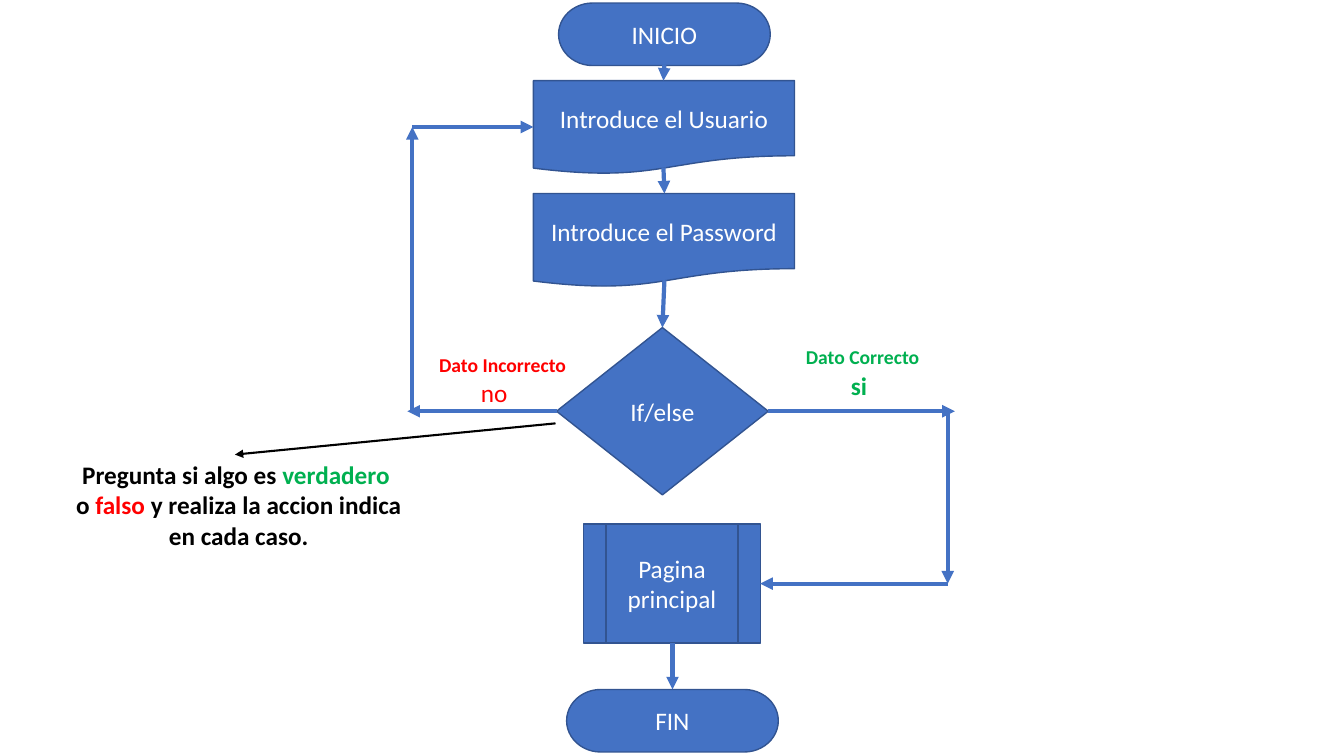
from dataclasses import dataclass

from lxml.etree import SubElement
from pptx import Presentation
from pptx.dml.color import RGBColor
from pptx.enum.shapes import MSO_CONNECTOR, MSO_SHAPE
from pptx.enum.text import MSO_ANCHOR, MSO_AUTO_SIZE, PP_ALIGN
from pptx.oxml.ns import qn
from pptx.slide import Slide
from pptx.text.text import TextFrame
from pptx.util import Inches, Pt

BLUE, NAVY, WHITE, BLACK = "4472C4", "325491", "FFFFFF", "000000"
GREEN, RED = "00B050", "FF0000"
STEP_FRAME = {"word_wrap": True, "vertical_anchor": MSO_ANCHOR.MIDDLE}
LABEL_FRAME = {"vertical_anchor": MSO_ANCHOR.TOP, "auto_size": MSO_AUTO_SIZE.SHAPE_TO_FIT_TEXT}


@dataclass(frozen=True)
class Span:
    text: str
    color: str = WHITE
    size: int = 18
    bold: bool = False


@dataclass(frozen=True)
class Step:
    kind: MSO_SHAPE
    text: str
    left: float
    top: float
    width: float
    height: float


@dataclass(frozen=True)
class Label:
    left: float
    top: float
    width: float
    height: float
    lines: list[list[Span]]
    wrap: bool = True


@dataclass(frozen=True)
class Arrow:
    start: tuple[float, float]
    end: tuple[float, float]
    color: str = BLUE
    width: float = 3


STEPS = [
    Step(MSO_SHAPE.FLOWCHART_TERMINATOR, "INICIO", 5.54, 0.03, 2.1, 0.62),
    Step(MSO_SHAPE.FLOWCHART_DOCUMENT, "Introduce el Usuario", 5.29, 0.8, 2.59, 0.93),
    Step(MSO_SHAPE.FLOWCHART_DOCUMENT, "Introduce el Password", 5.29, 1.92, 2.59, 0.93),
    Step(MSO_SHAPE.FLOWCHART_DECISION, "If/else", 5.52, 3.25, 2.1, 1.66),
    Step(MSO_SHAPE.FLOWCHART_PREDEFINED_PROCESS, "Pagina principal", 5.79, 5.2, 1.75, 1.18),
    Step(MSO_SHAPE.FLOWCHART_TERMINATOR, "FIN", 5.62, 6.84, 2.1, 0.62),
]

ARROWS = [
    Arrow((6.59, 0.64), (6.58, 0.8)),
    Arrow((6.58, 1.66), (6.59, 1.92)),
    Arrow((6.59, 2.78), (6.57, 3.25)),
    Arrow((7.62, 4.08), (9.47, 4.08)),
    Arrow((9.4, 4.08), (9.4, 5.79)),
    Arrow((9.4, 5.79), (7.54, 5.79)),
    Arrow((6.67, 6.38), (6.67, 6.84)),
    Arrow((5.52, 4.08), (4.04, 4.08)),
    Arrow((4.09, 4.07), (4.09, 1.26)),
    Arrow((4.09, 1.26), (5.29, 1.26)),
    Arrow((5.51, 4.2), (2.33, 4.51), BLACK, 1.5),
]

LABELS = [
    Label(8.28, 3.62, 0.48, 0.4, [[Span("si", GREEN, bold=True)]]),
    Label(4.59, 3.69, 0.62, 0.4, [[Span("no", RED)]]),
    Label(7.85, 3.37, 1.41, 0.34, [[Span("Dato Correcto", GREEN, 14, True)]]),
    Label(4.18, 3.45, 1.61, 0.34, [[Span("Dato Incorrecto", RED, 14, True)]]),
    Label(0.58, 4.51, 3.52, 1.01, [
        [Span("Pregunta si algo es ", BLACK, bold=True), Span("verdadero", GREEN, bold=True)],
        [Span(" o ", BLACK, bold=True), Span("falso", RED, bold=True),
         Span(" y realiza la accion indica", BLACK, bold=True)],
        [Span(" en cada caso.", BLACK, bold=True)],
    ], wrap=False),
]


def rgb(code: str) -> RGBColor:
    return RGBColor.from_string(code)


def apply(target: object, values: dict[str, object]) -> None:
    for name, value in values.items():
        setattr(target, name, value)


def write(frame: TextFrame, lines: list[list[Span]], values: dict[str, object]) -> None:
    apply(frame, values)
    for index, spans in enumerate(lines):
        paragraph = frame.add_paragraph() if index else frame.paragraphs[0]
        paragraph.alignment = PP_ALIGN.CENTER
        for span in spans:
            run = paragraph.add_run()
            run.text = span.text
            apply(run.font, {"name": "Calibri", "size": Pt(span.size), "bold": span.bold})
            run.font.color.rgb = rgb(span.color)


def draw_step(slide: Slide, step: Step) -> None:
    box = slide.shapes.add_shape(step.kind, Inches(step.left), Inches(step.top),
                                 Inches(step.width), Inches(step.height))
    box.shadow.inherit = False
    box.fill.solid()
    box.fill.fore_color.rgb = rgb(BLUE)
    box.line.color.rgb = rgb(NAVY)
    box.line.width = Pt(1)
    write(box.text_frame, [[Span(step.text)]], STEP_FRAME)


def draw_arrow(slide: Slide, arrow: Arrow) -> None:
    ends = [Inches(value) for value in (*arrow.start, *arrow.end)]
    connector = slide.shapes.add_connector(MSO_CONNECTOR.STRAIGHT, *ends)
    connector.line.color.rgb = rgb(arrow.color)
    connector.line.width = Pt(arrow.width)
    SubElement(connector.line._get_or_add_ln(), qn("a:tailEnd"), type="triangle")
    SubElement(connector._element.spPr, qn("a:effectLst"))


def draw_label(slide: Slide, label: Label) -> None:
    box = slide.shapes.add_textbox(Inches(label.left), Inches(label.top),
                                   Inches(label.width), Inches(label.height))
    write(box.text_frame, label.lines, LABEL_FRAME | {"word_wrap": label.wrap})


def main() -> None:
    deck = Presentation()
    apply(deck, {"slide_width": Inches(13.33), "slide_height": Inches(7.5)})
    slide = deck.slides.add_slide(deck.slide_layouts[6])
    for step in STEPS:
        draw_step(slide, step)
    for arrow in ARROWS:
        draw_arrow(slide, arrow)
    for label in LABELS:
        draw_label(slide, label)
    deck.save("out.pptx")


if __name__ == "__main__":
    main()
